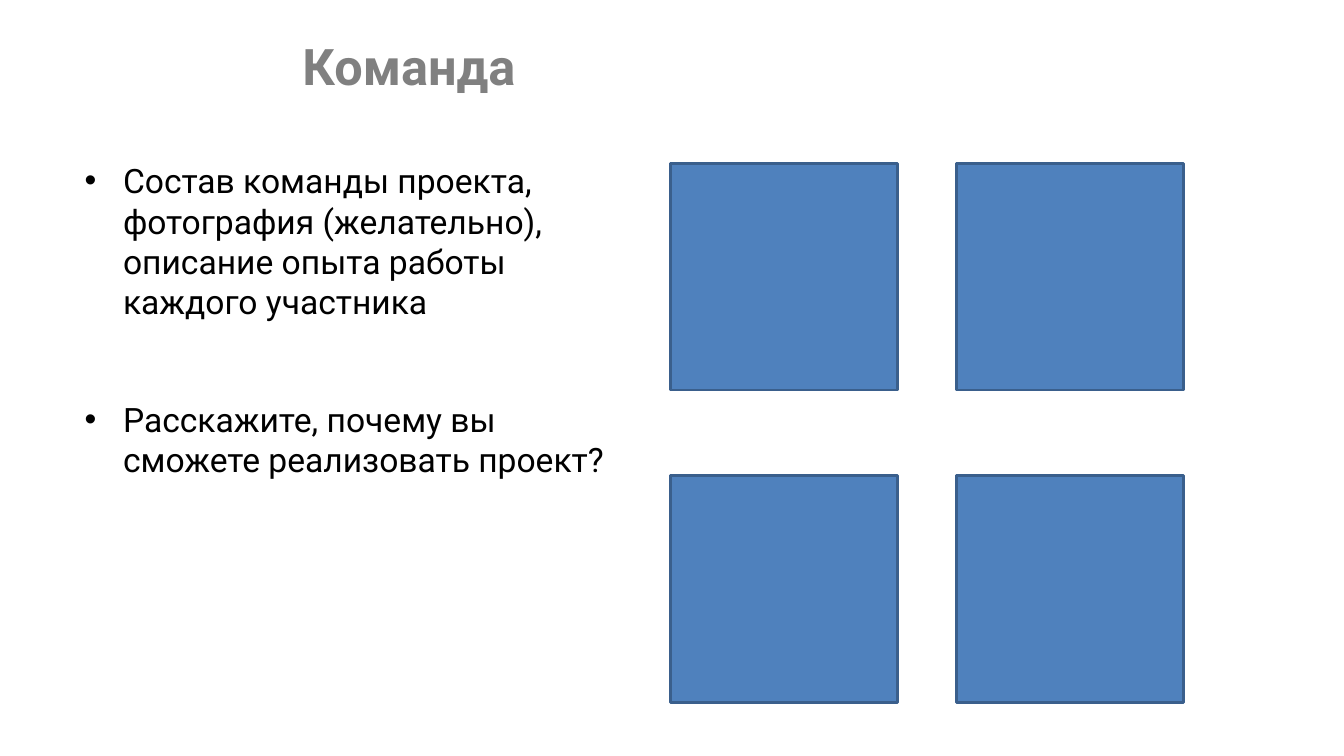
from pptx import Presentation
from pptx.dml.color import RGBColor
from pptx.enum.shapes import MSO_SHAPE
from pptx.enum.text import MSO_ANCHOR, MSO_AUTO_SIZE, PP_ALIGN
from pptx.util import Emu, Pt

EMU_PER_PX = 9144  # 100 px to the inch
FONT = "Roboto"
COLORS = {
    "title": "808080",
    "body": "000000",
    "photo": "4F81BD",
    "photo_border": "3A5F8C",
}
TITLE = "Команда"
POINTS = [
    "Состав команды проекта, фотография (желательно), описание опыта работы каждого участника",
    "Расскажите, почему вы сможете реализовать проект?",
]


def px(length):
    return Emu(length * EMU_PER_PX)


def color(name):
    return RGBColor.from_string(COLORS[name])


def place_placeholder(placeholder, box, anchor):
    """Move a placeholder to its box and return its text frame without side margins."""
    placeholder.left, placeholder.top, placeholder.width, placeholder.height = map(px, box)
    frame = placeholder.text_frame
    frame.margin_left = frame.margin_right = frame.margin_bottom = 0
    frame.margin_top = px(1)
    frame.vertical_anchor = anchor
    frame.word_wrap = True
    frame.auto_size = MSO_AUTO_SIZE.NONE
    return frame


def format_paragraph(paragraph, size, color_name, bold=False):
    paragraph.alignment = PP_ALIGN.LEFT
    paragraph.font.name = FONT
    paragraph.font.size = Pt(size)
    paragraph.font.bold = bold
    paragraph.font.color.rgb = color(color_name)


def fill_title(slide, box):
    frame = place_placeholder(slide.shapes.title, box, MSO_ANCHOR.MIDDLE)
    frame.text = TITLE
    format_paragraph(frame.paragraphs[0], 36, "title", bold=True)


def fill_points(slide, box):
    frame = place_placeholder(slide.placeholders[1], box, MSO_ANCHOR.TOP)
    frame.text = "\n".join(POINTS)
    for paragraph, space_before in zip(frame.paragraphs, (13, 55)):
        format_paragraph(paragraph, 24, "body")
        paragraph.space_before = Pt(space_before)
        properties = paragraph._p.get_or_add_pPr()
        properties.set("marL", str(px(39)))
        properties.set("indent", str(px(-38)))


def add_photo_grid(slide, box, side, columns=2, rows=2):
    """Spread square photo frames evenly, flush with the edges of the box."""
    left, top, width, height = box
    column_step = (width - side) // (columns - 1)
    row_step = (height - side) // (rows - 1)
    for row in range(rows):
        for column in range(columns):
            photo = slide.shapes.add_shape(
                MSO_SHAPE.RECTANGLE,
                px(left + column * column_step), px(top + row * row_step),
                px(side), px(side),
            )
            photo.shadow.inherit = False
            photo.fill.solid()
            photo.fill.fore_color.rgb = color("photo")
            photo.line.color.rgb = color("photo_border")
            photo.line.width = Pt(2)


def main():
    presentation = Presentation()
    presentation.slide_width = px(1333)
    presentation.slide_height = px(750)
    slide = presentation.slides.add_slide(presentation.slide_layouts[1])
    fill_title(slide, (300, 33, 504, 62))
    fill_points(slide, (83, 158, 525, 321))
    add_photo_grid(slide, (665, 162, 509, 535), side=225)
    presentation.save("out.pptx")


if __name__ == "__main__":
    main()
